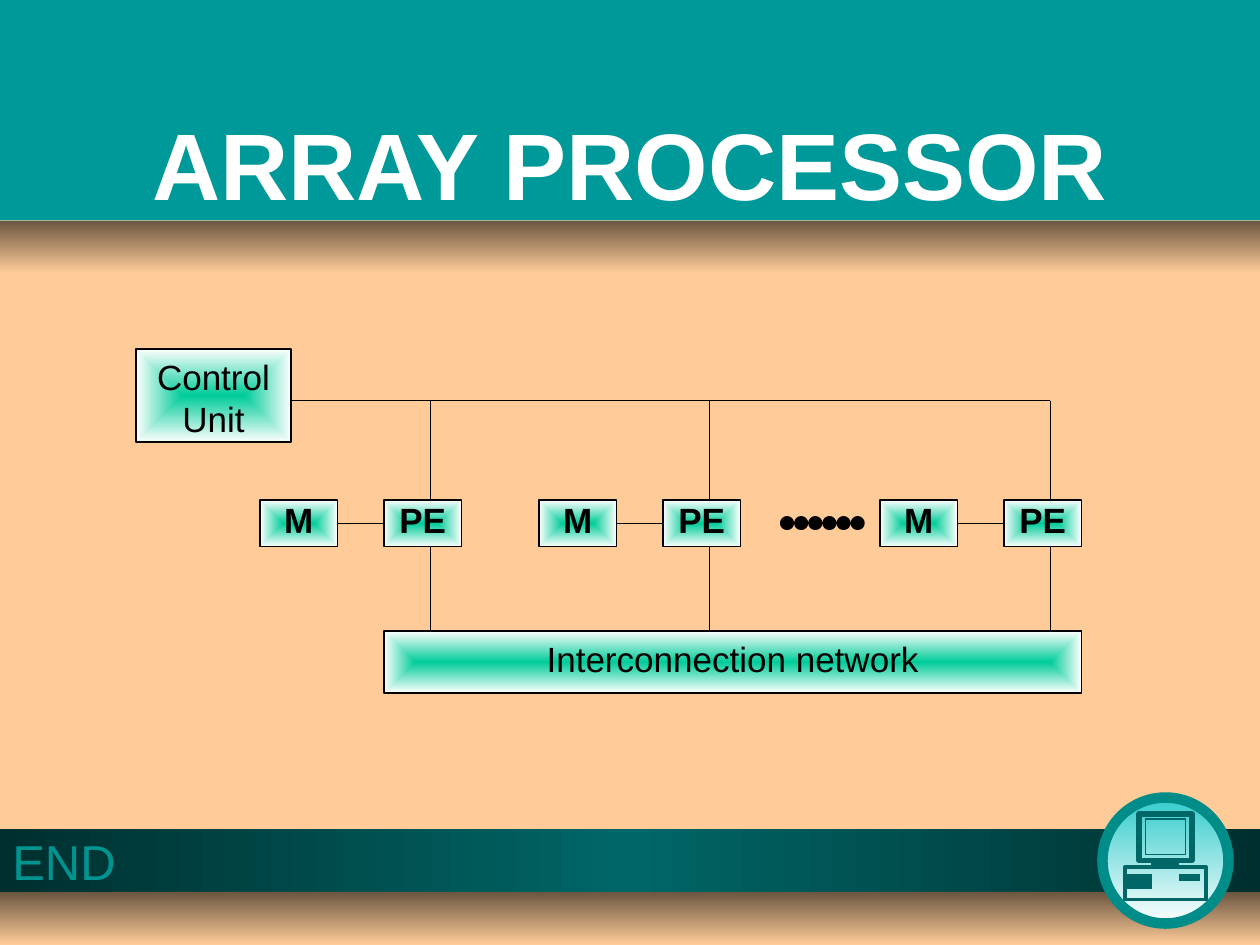
from lxml.etree import SubElement
from pptx import Presentation
from pptx.dml.color import RGBColor
from pptx.enum.shapes import MSO_CONNECTOR, MSO_SHAPE
from pptx.enum.text import MSO_ANCHOR, PP_ALIGN
from pptx.oxml.ns import qn
from pptx.util import Inches, Pt

FONT = "Arial"
BLACK, DARK_TEAL = "000000", "006666"
SHADE = [(0, "6B5640"), (100, "FFCC99")]
GLOW = [(0, "00CC99"), (100, "FEFEFE")]

# Diagram grid: ten columns are as wide as the control unit
UNIT = 1.23 / 10
ORIGIN_X, ORIGIN_Y = 1.08, 2.77
BUS_ROW, CELL_ROW, CELL_ROWS, NETWORK_ROW = 3.33, 9.75, 3, 18.2
CELL_COLS, PE_OFFSET, BUS_OFFSET = 5, 8, 11
MEMORY_COLS = (8, 26, 48)


def color(value):
    return RGBColor.from_string(value)


def grid(col, row):
    return ORIGIN_X + col * UNIT, ORIGIN_Y + row * UNIT


def fill_gradient(shape, stops, angle=None):
    """Fill with a linear gradient, or one spreading from the centre if no angle is given."""
    shape.fill.gradient()
    gradient = shape._element.spPr.find(qn("a:gradFill"))
    for child in list(gradient):
        gradient.remove(child)
    stop_list = SubElement(gradient, qn("a:gsLst"))
    for position, value in stops:
        stop = SubElement(stop_list, qn("a:gs"), pos=str(position * 1000))
        SubElement(stop, qn("a:srgbClr"), val=value)
    if angle is None:
        centre = SubElement(gradient, qn("a:path"), path="rect")
        SubElement(centre, qn("a:fillToRect"), l="50000", t="50000", r="50000", b="50000")
    else:
        SubElement(gradient, qn("a:lin"), ang=str(angle * 60000), scaled="0")


def add_box(shapes, left, top, width, height, fill=None, line=None,
            weight=0.75, kind=MSO_SHAPE.RECTANGLE):
    box = shapes.add_shape(kind, Inches(left), Inches(top), Inches(width), Inches(height))
    box.shadow.inherit = False
    if fill:
        box.fill.solid()
        box.fill.fore_color.rgb = color(fill)
    else:
        box.fill.background()
    if line:
        box.line.color.rgb = color(line)
        box.line.width = Pt(weight)
    else:
        box.line.fill.background()
    return box


def set_text(box, text, size, ink, bold=False, align=PP_ALIGN.CENTER,
             anchor=MSO_ANCHOR.MIDDLE, spacing=None):
    frame = box.text_frame
    frame.text = text
    frame.word_wrap = True
    frame.vertical_anchor = anchor
    for para in frame.paragraphs:
        para.alignment = align
        if spacing:
            para.line_spacing = spacing
        for span in para.runs:
            span.font.name = FONT
            span.font.size = Pt(size)
            span.font.bold = bold
            span.font.color.rgb = color(ink)


def add_block(shapes, col, row, cols, rows, text, bold=False, spacing=None):
    """Labelled diagram block placed on the grid."""
    box = add_box(shapes, *grid(col, row), cols * UNIT, rows * UNIT, line=BLACK)
    fill_gradient(box, GLOW)
    set_text(box, text, 20, BLACK, bold, anchor=MSO_ANCHOR.TOP, spacing=spacing)


def add_line(shapes, start, end, weight=0.75):
    ends = [Inches(value) for value in (*grid(*start), *grid(*end))]
    line = shapes.add_connector(MSO_CONNECTOR.STRAIGHT, *ends)
    line.line.color.rgb = color(BLACK)
    line.line.width = Pt(weight)
    SubElement(line._element.spPr, qn("a:effectLst"))
    return line


def make_dotted(line):
    outline = line.line._get_or_add_ln()
    outline.set("cap", "rnd")
    dash = SubElement(outline, qn("a:custDash"))
    SubElement(dash, qn("a:ds"), d="1000", sp="100000")


def add_bands(shapes):
    add_box(shapes, 0, 0, 10, 1.75, "009999")
    for top in (1.75, 7.08):
        fill_gradient(add_box(shapes, 0, top, 10, 0.42), SHADE, 90)
    footer = add_box(shapes, 0, 6.58, 10, 0.5)
    fill_gradient(footer, [(0, "002F2F"), (50, DARK_TEAL), (100, "002F2F")], 180)
    set_text(footer, "END", 28, "009490", align=PP_ALIGN.LEFT)


def add_computer(page):
    shapes = page.shapes.add_group_shape().shapes
    disc = add_box(shapes, 8.75, 6.33, 1, 1, line="008D8A", weight=6, kind=MSO_SHAPE.OVAL)
    fill_gradient(disc, [(0, "33CCCC"), (100, "FEFEFE")], 90)
    outlines = [(9.04, 6.46, 0.42, 0.37, 3),       # monitor
                (8.93, 6.88, 0.64, 0.26, 2.25),    # case
                (9.09, 6.5, 0.32, 0.28, 0.75)]     # screen
    for *place, weight in outlines:
        add_box(shapes, *place, line=DARK_TEAL, weight=weight)
    solids = [(9.14, 6.83, 0.21, 0.05),            # stand
              (8.93, 6.94, 0.21, 0.11),            # panel
              (9.36, 6.94, 0.16, 0.05)]            # drive
    for place in solids:
        add_box(shapes, *place, DARK_TEAL, DARK_TEAL)


def add_title(page, text):
    title = page.shapes.title
    title.left, title.top = Inches(0.75), Inches(0.67)
    title.width, title.height = Inches(8.5), Inches(1.25)
    set_text(title, text, 54, "FFFFFF", bold=True)
    page.shapes._spTree.append(title._element)  # bring in front of the bands


def add_diagram(shapes):
    cell_bottom = CELL_ROW + CELL_ROWS
    middle = CELL_ROW + CELL_ROWS / 2
    add_line(shapes, (10, BUS_ROW), (MEMORY_COLS[-1] + BUS_OFFSET, BUS_ROW))
    add_block(shapes, 0, 0, 10, 6, "Control\nUnit")
    for col in MEMORY_COLS:
        bus, element = col + BUS_OFFSET, col + PE_OFFSET
        add_line(shapes, (bus, BUS_ROW), (bus, CELL_ROW))
        add_line(shapes, (bus, cell_bottom), (bus, NETWORK_ROW))
        add_line(shapes, (col + CELL_COLS, middle), (element, middle))
        for left, label in ((col, "M"), (element, "PE")):
            add_block(shapes, left, CELL_ROW, CELL_COLS, CELL_ROWS, label, True, 0.8)
    add_block(shapes, 16, NETWORK_ROW, 45, 4, "Interconnection network")
    make_dotted(add_line(shapes, (42, middle), (47, middle), 8))


def main():
    deck = Presentation()
    deck.slide_width, deck.slide_height = Inches(10), Inches(7.5)
    page = deck.slides.add_slide(deck.slide_layouts[5])
    page.background.fill.solid()
    page.background.fill.fore_color.rgb = color("FFCC99")
    add_bands(page.shapes)
    add_computer(page)
    add_title(page, "ARRAY PROCESSOR")
    add_diagram(page.shapes)
    deck.save("out.pptx")


if __name__ == "__main__":
    main()
